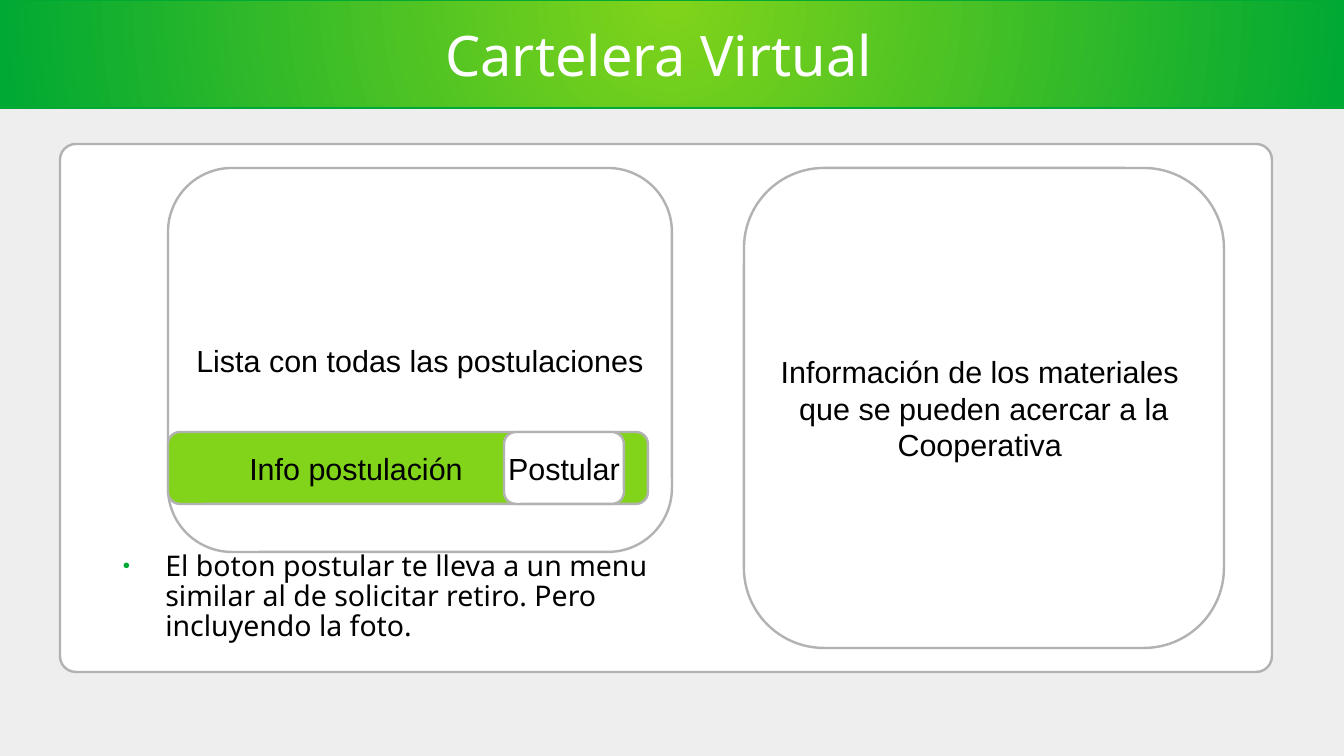
import pptx
import pptx.dml.color
import pptx.enum.shapes
import pptx.enum.text
import pptx.util
import lxml.etree
from dataclasses import dataclass


@dataclass(frozen=True)
class Theme:
    """Colours, fonts and type sizes of the slide."""
    page: str = "EEEEEE"
    white: str = "FFFFFF"
    black: str = "000000"
    lime: str = "81D41A"
    green: str = "00A933"
    grey: str = "B2B2B2"
    head_font: str = "Noto Sans"
    box_font: str = "Arial"
    title_size: float = 33
    body_size: float = 16.8
    box_size: float = 18
    line_width: float = 1.42


theme = Theme()
rgb = pptx.dml.color.RGBColor.from_string
ALIGN = pptx.enum.text.PP_ALIGN
ANCHOR = pptx.enum.text.MSO_ANCHOR
SHAPE = pptx.enum.shapes.MSO_SHAPE
A = "{http://schemas.openxmlformats.org/drawingml/2006/main}"

# The slide is a grid of half-centimetre cells, 56 columns by 31.5 rows.
CELL = pptx.util.Cm(0.5)
COLS, ROWS = 56, 31.5


def add_box(kind, col, row, cols, rows, fill, line=theme.grey):
    """Add a filled, outlined shape placed in grid cells."""
    sp = s.shapes.add_shape(kind, *(int(n * CELL) for n in (col, row, cols, rows)))
    sp.shadow.inherit = False
    sp.fill.solid()
    sp.fill.fore_color.rgb = rgb(fill)
    sp.line.color.rgb = rgb(line)
    sp.line.width = pptx.util.Pt(theme.line_width)
    return sp


def write(sp, text, font, size, color, align):
    """Put text into a shape and format every paragraph and run."""
    tf = sp.text_frame
    tf.text = text
    for p in tf.paragraphs:
        p.alignment = align
        for r in p.runs:
            r.font.name = font
            r.font.size = pptx.util.Pt(size)
            r.font.color.rgb = rgb(color)
    return tf


prs = pptx.Presentation()
prs.slide_width, prs.slide_height = int(COLS * CELL), int(ROWS * CELL)
s = prs.slides.add_slide(prs.slide_layouts[1])
s.background.fill.solid()
s.background.fill.fore_color.rgb = rgb(theme.page)
title, body = s.placeholders

# Banner with a radial gradient centred on its top edge, and the main panel
banner = add_box(SHAPE.RECTANGLE, 0, 0, COLS, 4.5, theme.lime, theme.green)
banner.fill.gradient()
for stop, color in zip(banner.fill.gradient_stops, (theme.lime, theme.green)):
    stop.color.rgb = rgb(color)
grad = banner.element.spPr.find(A + "gradFill")
grad.remove(grad.find(A + "lin"))
radial = lxml.etree.SubElement(grad, A + "path", path="circle")
lxml.etree.SubElement(radial, A + "fillToRect", l="50000", t="0", r="50000", b="100000")

panel = add_box(SHAPE.ROUNDED_RECTANGLE, 2.5, 6, 50.5, 22, theme.white)
panel.adjustments[0] = 0.03

# Title and note, raised above the banner and panel
for ph, cells in ((title, (2.5, 0.5, 50.5, 3.5)), (body, (4.5, 23, 25.5, 4))):
    ph.left, ph.top, ph.width, ph.height = (int(n * CELL) for n in cells)
    tf = ph.text_frame
    tf.margin_left = tf.margin_right = tf.margin_top = tf.margin_bottom = 0
    tf.word_wrap = True
    tf.auto_size = pptx.enum.text.MSO_AUTO_SIZE.NONE
    s.shapes.element.append(ph.element)

tf = write(title, "Cartelera Virtual ", theme.head_font, theme.title_size,
           theme.white, ALIGN.CENTER)
tf.vertical_anchor = ANCHOR.MIDDLE

tf = write(body, "El boton postular te lleva a un menu similar al de solicitar retiro. "
           "Pero incluyendo la foto.", theme.head_font, theme.body_size,
           theme.black, ALIGN.LEFT)
tf.vertical_anchor = ANCHOR.TOP
p = tf.paragraphs[0]
p.line_spacing = 0.88
p.space_before = pptx.util.Pt(0)
p.space_after = pptx.util.Pt(10.6)
pPr = p.runs[0].font and p.runs[0]._r.getparent().get_or_add_pPr()
pPr.set("marL", str(pptx.util.Inches(0.47)))
pPr.set("indent", str(pptx.util.Inches(-0.35)))
bullet_color = lxml.etree.SubElement(pPr, A + "buClr")
lxml.etree.SubElement(bullet_color, A + "srgbClr", val=theme.green)
lxml.etree.SubElement(pPr, A + "buSzPct", val="45000")
lxml.etree.SubElement(pPr, A + "buChar", char="●")

# Boxes: column, row, columns, rows, fill, right inset in inches, text
boxes = (
    (31, 7, 20, 20, theme.white, 0.1,
     "Información de los materiales \nque se pueden acercar a la\nCooperativa "),
    (7, 7, 21, 16, theme.white, 0.1, "Lista con todas las postulaciones"),
    (7, 18, 20, 3, theme.lime, 0.95, "Info postulación"),
    (21, 18, 5, 3, theme.white, 0.1, "Postular"),
)
for *cells, fill, inset, text in boxes:
    sp = add_box(SHAPE.ROUNDED_RECTANGLE, *cells, fill)
    tf = write(sp, text, theme.box_font, theme.box_size, theme.black, ALIGN.CENTER)
    tf.margin_right = pptx.util.Inches(inset)
    tf.vertical_anchor = ANCHOR.MIDDLE
    tf.word_wrap = False

prs.save("out.pptx")
